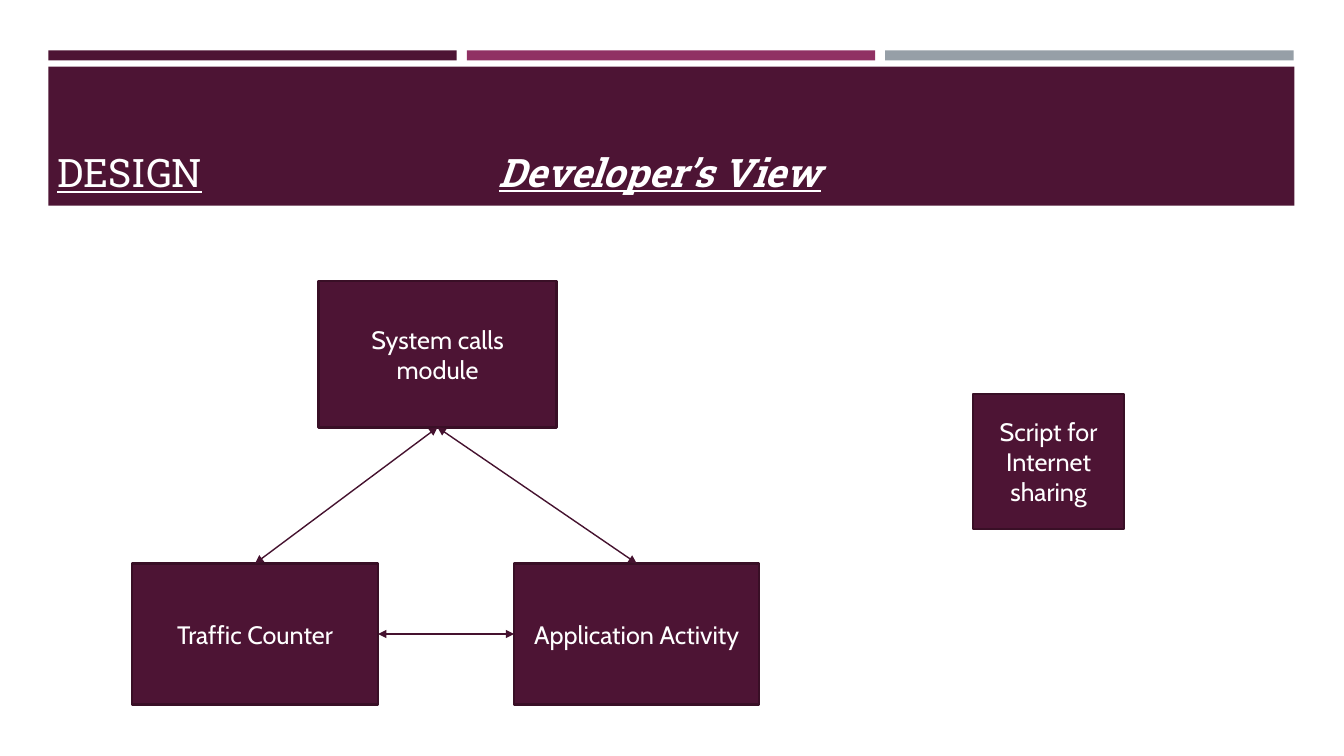
import pptx
import pptx.dml.color
import pptx.enum.shapes
import pptx.enum.text
import pptx.oxml
import pptx.oxml.ns
import pptx.util
from pptx.util import Inches

PLUM, MAGENTA, GREY, WHITE = "4D1434", "903163", "969FA7", "FFFFFF"
OUTLINE, ARROW = "390F26", "45122F"


def color(value):
    """Turn a hex string into a colour."""
    return pptx.dml.color.RGBColor.from_string(value)


def style_text(paragraph, font_name, size, **emphasis):
    """Format the runs of a paragraph in white."""
    for run in paragraph.runs:
        run.font.name = font_name
        run.font.size = pptx.util.Pt(size)
        run.font.color.rgb = color(WHITE)
        for trait, value in emphasis.items():
            setattr(run.font, trait, value)


def add_block(slide, left, top, width, height, fill):
    """Add a plain filled rectangle."""
    block = slide.shapes.add_shape(
        pptx.enum.shapes.MSO_SHAPE.RECTANGLE,
        Inches(left), Inches(top), Inches(width), Inches(height))
    block.shadow.inherit = False
    block.fill.solid()
    block.fill.fore_color.rgb = color(fill)
    block.line.fill.background()
    return block


def add_module(slide, label, left, top, width, height):
    """Add an outlined box with a centred label."""
    module = add_block(slide, left, top, width, height, PLUM)
    module.line.color.rgb = color(OUTLINE)
    module.line.width = pptx.util.Pt(1.75)
    frame = module.text_frame
    frame.text = label
    frame.word_wrap = True
    frame.vertical_anchor = pptx.enum.text.MSO_ANCHOR.MIDDLE
    frame.paragraphs[0].alignment = pptx.enum.text.PP_ALIGN.CENTER
    style_text(frame.paragraphs[0], "Cabin", 18)
    return module


def link_modules(slide, start, start_site, end, end_site):
    """Join two modules with a double-headed arrow."""
    link = slide.shapes.add_connector(
        pptx.enum.shapes.MSO_CONNECTOR.STRAIGHT, 0, 0, 0, 0)
    link.begin_connect(start, start_site)
    link.end_connect(end, end_site)
    link.line.color.rgb = color(ARROW)
    link.line.width = pptx.util.Pt(1)
    outline = link.line._get_or_add_ln()
    for tag in ("a:headEnd", "a:tailEnd"):
        arrowhead = pptx.oxml.parse_xml(
            f'<{tag} {pptx.oxml.ns.nsdecls("a")} type="triangle"/>')
        outline.append(arrowhead)
    link.element.spPr.append(pptx.oxml.parse_xml(
        f'<a:effectLst {pptx.oxml.ns.nsdecls("a")}/>'))


def add_header(slide, left, top, width, height):
    """Add the three stripes, the title band, the title and the subtitle."""
    stripe_width, stripe_step = 4.05, 4.15
    parts = [add_block(slide, left + i * stripe_step, top, stripe_width, 0.1, fill)
             for i, fill in enumerate((PLUM, MAGENTA, GREY))]
    parts.append(add_block(slide, left, top + 0.16, width, height - 0.16, PLUM))

    title = slide.shapes.title
    for part in parts:
        title.element.addprevious(part.element)
    title.left, title.top = Inches(left - 0.01), Inches(top + 0.09)
    title.width, title.height = Inches(width - 0.02), Inches(1.4)
    frame = title.text_frame
    frame.text = "DESIGN"
    frame.auto_size = pptx.enum.text.MSO_AUTO_SIZE.NONE
    frame.vertical_anchor = pptx.enum.text.MSO_ANCHOR.BOTTOM
    frame.paragraphs[0].alignment = pptx.enum.text.PP_ALIGN.LEFT
    style_text(frame.paragraphs[0], "Roboto Slab", 28, underline=True)

    subtitle = slide.shapes.add_textbox(
        Inches(left + 4.37), Inches(top + 0.92), Inches(6.41), Inches(0.57))
    subtitle.text_frame.word_wrap = True
    subtitle.text_frame.text = "Developer’s View"
    style_text(subtitle.text_frame.paragraphs[0], "Roboto Slab", 28,
               bold=True, italic=True, underline=True)


def add_module_diagram(slide, left, top):
    """Add the linked modules and the separate script box."""
    top_site, left_site, bottom_site, right_site = range(4)
    system_calls = add_module(
        slide, "System calls module", left + 1.85, top, 2.36, 1.45)
    traffic = add_module(
        slide, "Traffic Counter", left, top + 2.8, 2.44, 1.4)
    activity = add_module(
        slide, "Application Activity", left + 3.79, top + 2.8, 2.43, 1.4)
    link_modules(slide, system_calls, bottom_site, activity, top_site)
    link_modules(slide, system_calls, bottom_site, traffic, top_site)
    link_modules(slide, traffic, right_site, activity, left_site)
    add_module(slide, "Script for Internet sharing",
               left + 8.34, top + 1.12, 1.5, 1.34)


def main():
    """Build and save the design slide."""
    deck = pptx.Presentation()
    deck.slide_width, deck.slide_height = Inches(13.33), Inches(7.5)
    slide = deck.slides.add_slide(deck.slide_layouts.get_by_name("Title Only"))
    slide.background.fill.solid()
    slide.background.fill.fore_color.rgb = color(WHITE)
    add_header(slide, 0.48, 0.5, 12.36, 1.54)
    add_module_diagram(slide, 1.31, 2.79)
    deck.save("out.pptx")


if __name__ == "__main__":
    main()
